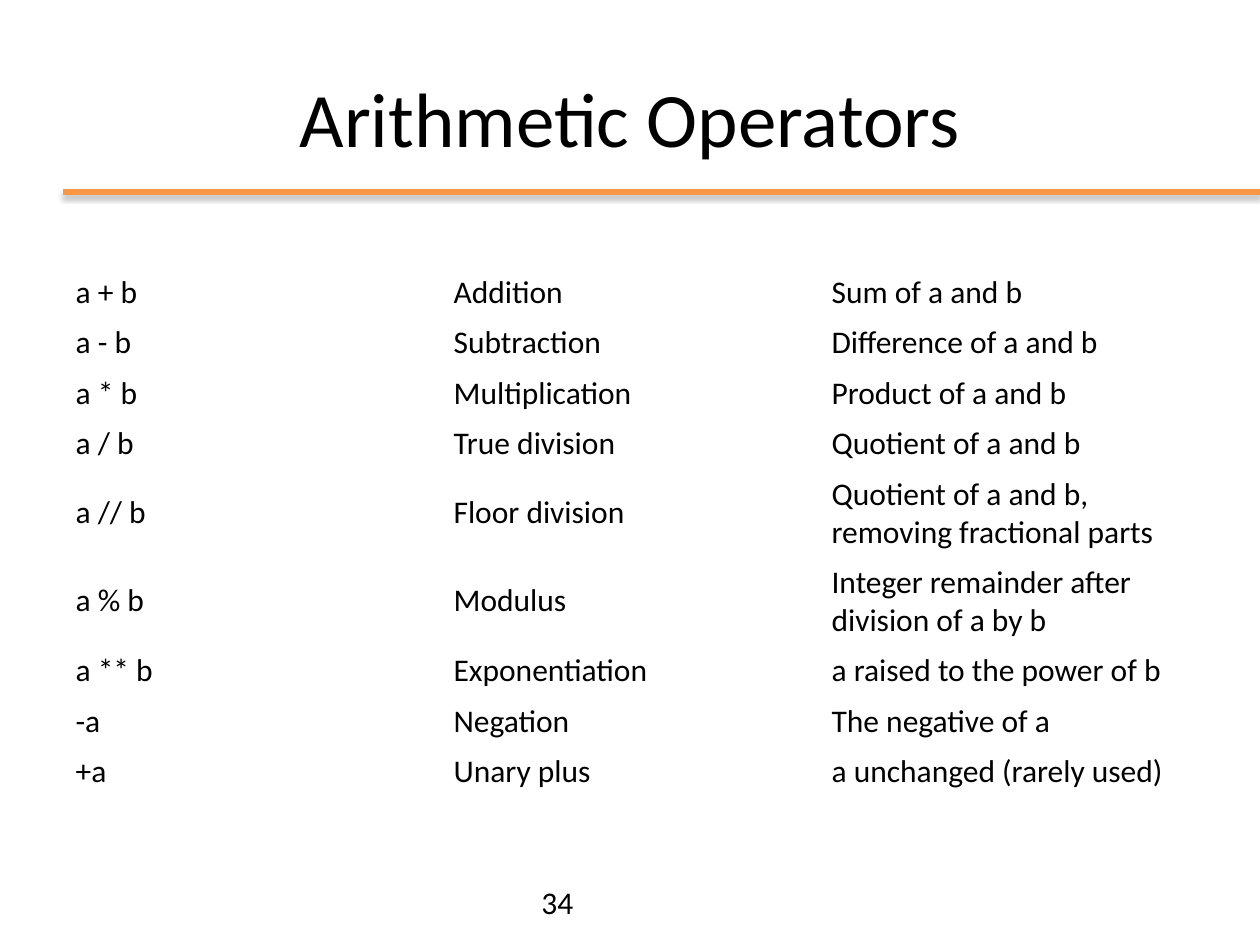
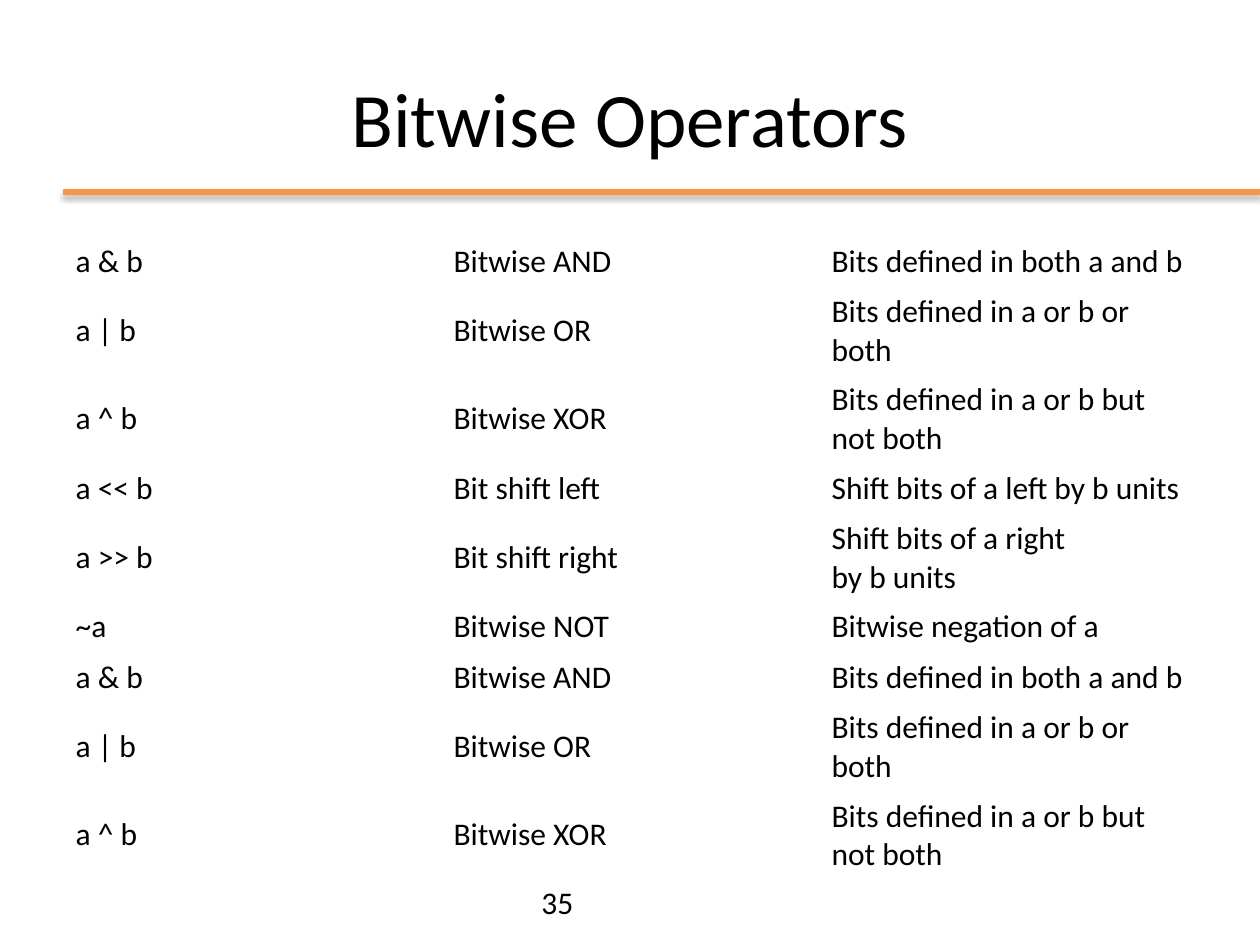
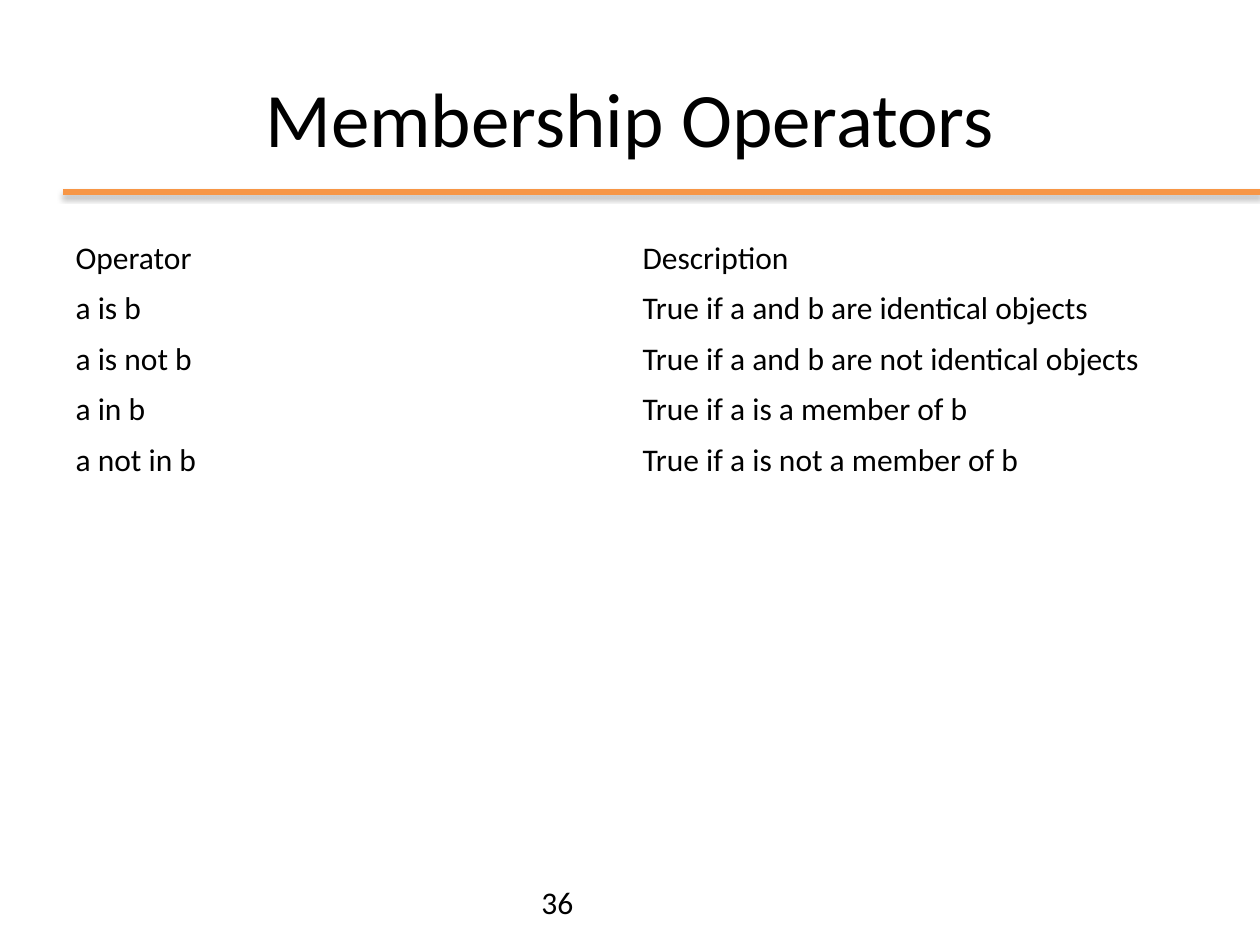
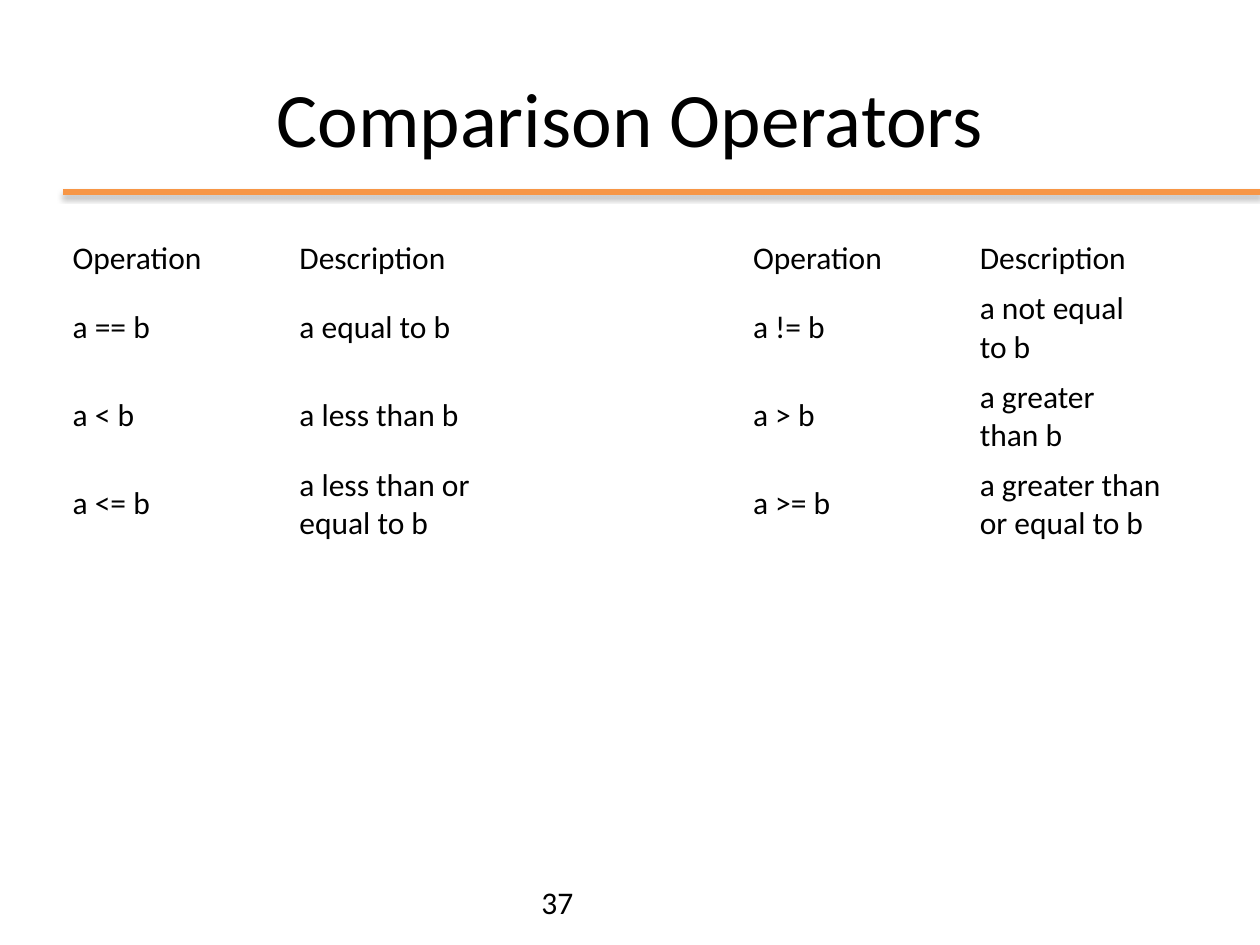
from lxml.etree import SubElement
from pptx import Presentation
from pptx.dml.color import RGBColor
from pptx.enum.shapes import MSO_CONNECTOR
from pptx.enum.text import MSO_ANCHOR, PP_ALIGN
from pptx.oxml.ns import qn
from pptx.util import Pt

WHITE = RGBColor(0xFF, 0xFF, 0xFF)
BLACK = RGBColor(0x00, 0x00, 0x00)
ORANGE = RGBColor(0xF7, 0x96, 0x46)
FONT = "Calibri"
WIDE, HIGH = 1260, 945
EDGE = 63
TITLE_BOX = (EDGE, 38, 1134, 158)
PAGE_BOX = (529, 877, 668, 50)
RULE_Y = 192
FIRST_PAGE = 34

# In the cell texts "_" stands for a no-break space.
ARITH = [
    ("a + b", "Addition", "Sum of_a_and_b"),
    ("a - b", "Subtraction", "Difference of_a_and_b"),
    ("a * b", "Multiplication", "Product of_a_and_b"),
    ("a / b", "True division", "Quotient of_a_and_b"),
    ("a // b", "Floor division",
     "Quotient of_a_and_b, removing fractional parts"),
    ("a % b", "Modulus", "Integer remainder after division of_a_by_b"),
    ("a ** b", "Exponentiation", "a_raised to the power of_b"),
    ("-a", "Negation", "The negative of_a"),
    ("+a", "Unary plus", "a_unchanged (rarely used)"),
]
LOGIC = [
    ("a & b", "Bitwise AND", "Bits defined in both_a_and_b"),
    ("a | b", "Bitwise OR", "Bits defined in_a_or_b_or both"),
    ("a ^ b", "Bitwise XOR", "Bits defined in_a_or_b_but not both"),
]
SHIFT = [
    ("a << b", "Bit shift left", "Shift bits of_a_left by_b_units"),
    ("a >> b", "Bit shift right", "Shift bits of_a_right by_b_units"),
    ("~a", "Bitwise NOT", "Bitwise negation of_a"),
]
MEMBER = [
    ("Operator", "Description"),
    ("a is b", "True if_a_and_b_are identical objects"),
    ("a is not b", "True if_a_and_b_are not identical objects"),
    ("a in b", "True if_a_is a member of_b"),
    ("a not in b", "True if_a_is not a member of_b"),
]
COMPARE = [
    ("Operation", "Description", "", "Operation", "Description"),
    ("a == b", "a_equal to_b", "", "a != b", "a_not equal to_b"),
    ("a < b", "a_less than_b", "", "a > b", "a_greater than_b"),
    ("a <= b", "a_less than or equal to_b", "",
     "a >= b", "a_greater than or equal to_b"),
]
# Title, table box, table rows
PAGES = [
    ("Arithmetic Operators", (EDGE, 267, 1134, 529), ARITH),
    ("Bitwise Operators", (EDGE, 236, 1134, 643), LOGIC + SHIFT + LOGIC),
    ("Membership Operators", (EDGE, 233, 1134, 252), MEMBER),
    ("Comparison Operators", (60, 233, 1134, 315), COMPARE),
]


def px(n):
    """Turn pixels into EMU."""
    return round(n * 914400 / 126)


def write(para, text, size=18):
    """Add one black run to a paragraph."""
    run = para.add_run()
    run.text = text
    run.font.name = FONT
    run.font.size = Pt(size)
    run.font.color.rgb = BLACK


def label(slide, box, text, size=18, align=PP_ALIGN.LEFT,
          anchor=MSO_ANCHOR.TOP):
    """Place a line of text in a box."""
    frame = slide.shapes.add_textbox(*map(px, box)).text_frame
    frame.word_wrap = True
    frame.vertical_anchor = anchor
    frame.paragraphs[0].alignment = align
    write(frame.paragraphs[0], text, size)


def rule(slide, left, right, y):
    """Draw the orange line with its soft shadow."""
    line = slide.shapes.add_connector(
        MSO_CONNECTOR.STRAIGHT, px(left), px(y), px(right), px(y))
    line.line.color.rgb = ORANGE
    line.line.width = Pt(3)
    props = line._element.spPr
    effect = SubElement(props, qn("a:effectLst"))
    shadow = SubElement(
        effect, qn("a:outerShdw"), blurRad=str(Pt(3.1)), dist=str(Pt(1.8)),
        dir="5400000", rotWithShape="0")
    tint = SubElement(shadow, qn("a:srgbClr"), val=str(BLACK))
    SubElement(tint, qn("a:alpha"), val="35000")


def grid(slide, box, rows):
    """Fill a box with a plain table whose rows grow to fit their text."""
    frame = slide.shapes.add_table(len(rows), len(rows[0]), *map(px, box))
    table = frame.table
    table.first_row = table.horz_banding = False
    for row, texts in zip(table.rows, rows):
        row.height = 0
        for cell, text in zip(row.cells, texts):
            cell.fill.solid()
            cell.fill.fore_color.rgb = WHITE
            cell.vertical_anchor = MSO_ANCHOR.MIDDLE
            if text:
                write(cell.text_frame.paragraphs[0],
                      text.replace("_", "\u00a0"))
    frame.height = px(box[3])


def page(deck, number, title, box, rows):
    """Add a slide with title, rule, table and page number."""
    slide = deck.slides.add_slide(deck.slide_layouts[6])
    rule(slide, EDGE, WIDE, RULE_Y)
    label(slide, TITLE_BOX, title, 44, PP_ALIGN.CENTER, MSO_ANCHOR.MIDDLE)
    grid(slide, box, rows)
    label(slide, PAGE_BOX, str(number))


deck = Presentation()
deck.slide_width, deck.slide_height = px(WIDE), px(HIGH)
for number, (title, box, rows) in enumerate(PAGES, FIRST_PAGE):
    page(deck, number, title, box, rows)
deck.save("out.pptx")
